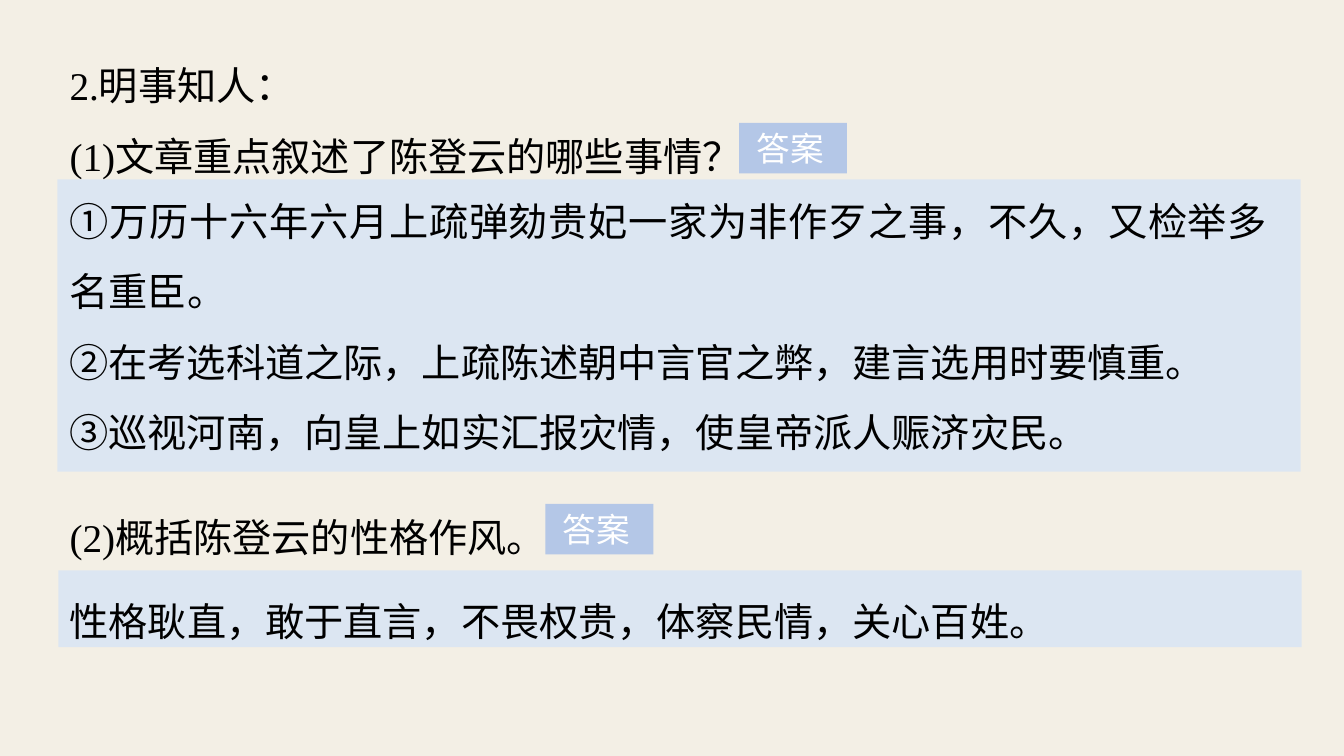
from dataclasses import dataclass

from lxml import etree
from pptx import Presentation
from pptx.dml.color import RGBColor
from pptx.enum import shapes, text
from pptx.oxml import ns
from pptx.util import Inches, Pt


@dataclass(frozen=True)
class Theme:
    background: str = "F3EFE5"
    panel: str = "DCE6F2"
    label: str = "B4C7E7"
    ink: str = "000000"
    label_ink: str = "FFFFFF"
    body_font: str = "Times New Roman"
    chinese_font: str = "Noto Sans CJK SC"
    label_font: str = "Arial"
    body_size: int = 28
    label_size: int = 24


THEME = Theme()

# Content: boxes are left, top, width, height in inches
LABEL_TEXT = " 答案"
LABEL_SIZE = (1.07, 0.5)
SECTIONS = [
    {
        "question": ["2.明事知人：", "(1)文章重点叙述了陈登云的哪些事情？"],
        "question_box": (0.56, 0.31, 12.27, 1.46),
        "panel_box": (0.57, 1.78, 12.33, 2.9),
        "answer": [
            "①万历十六年六月上疏弹劾贵妃一家为非作歹之事，不久，又检举多名重臣。",
            "②在考选科道之际，上疏陈述朝中言官之弊，建言选用时要慎重。",
            "③巡视河南，向皇上如实汇报灾情，使皇帝派人赈济灾民。",
        ],
        "answer_box": (0.56, 1.65, 12.15, 2.87),
        "label_at": (7.33, 1.22),
    },
    {
        "question": ["(2)概括陈登云的性格作风。"],
        "question_box": (0.56, 4.79, 12.27, 0.75),
        "panel_box": (0.58, 5.66, 12.33, 0.76),
        "answer": ["性格耿直，敢于直言，不畏权贵，体察民情，关心百姓。"],
        "answer_box": (0.56, 5.62, 12.15, 0.75),
        "label_at": (5.41, 5.0),
    },
]
CIRCLED_NUMBERS = "①②③"


def add_run(paragraph, wording, font_name, size, color):
    run = paragraph.add_run()
    run.text = wording
    run.font.name = font_name
    run.font.size = Pt(size)
    run.font.color.rgb = RGBColor.from_string(color)
    east_asian = etree.SubElement(run.font._element, ns.qn("a:ea"))
    east_asian.set("typeface", THEME.chinese_font)


def add_text(slide, box, lines):
    frame = slide.shapes.add_textbox(*map(Inches, box)).text_frame
    frame.word_wrap = True
    frame.margin_left = frame.margin_right = Inches(0.13)
    frame.margin_top = frame.margin_bottom = Inches(0.07)
    for index, line in enumerate(lines):
        paragraph = frame.add_paragraph() if index else frame.paragraphs[0]
        paragraph.alignment = text.PP_ALIGN.JUSTIFY
        paragraph.line_spacing = 1.5
        if line[0] in CIRCLED_NUMBERS:
            add_run(paragraph, line[0], THEME.chinese_font, THEME.body_size, THEME.ink)
            line = line[1:]
        add_run(paragraph, line, THEME.body_font, THEME.body_size, THEME.ink)


def add_block(slide, box, color):
    shape = slide.shapes.add_shape(shapes.MSO_SHAPE.RECTANGLE, *map(Inches, box))
    shape.shadow.inherit = False
    shape.fill.solid()
    shape.fill.fore_color.rgb = RGBColor.from_string(color)
    shape.line.fill.background()
    return shape


def add_label(slide, position):
    frame = add_block(slide, position + LABEL_SIZE, THEME.label).text_frame
    frame.vertical_anchor = text.MSO_ANCHOR.MIDDLE
    paragraph = frame.paragraphs[0]
    paragraph.alignment = text.PP_ALIGN.LEFT
    add_run(paragraph, LABEL_TEXT, THEME.label_font, THEME.label_size, THEME.label_ink)


def main():
    presentation = Presentation()
    presentation.slide_width = Inches(13.33)
    presentation.slide_height = Inches(7.5)
    slide = presentation.slides.add_slide(presentation.slide_layouts[6])
    slide.background.fill.solid()
    slide.background.fill.fore_color.rgb = RGBColor.from_string(THEME.background)

    # Each section: question, answer panel, answer, label
    for section in SECTIONS:
        add_text(slide, section["question_box"], section["question"])
        add_block(slide, section["panel_box"], THEME.panel)
        add_text(slide, section["answer_box"], section["answer"])
        add_label(slide, section["label_at"])

    presentation.save("out.pptx")


if __name__ == "__main__":
    main()
